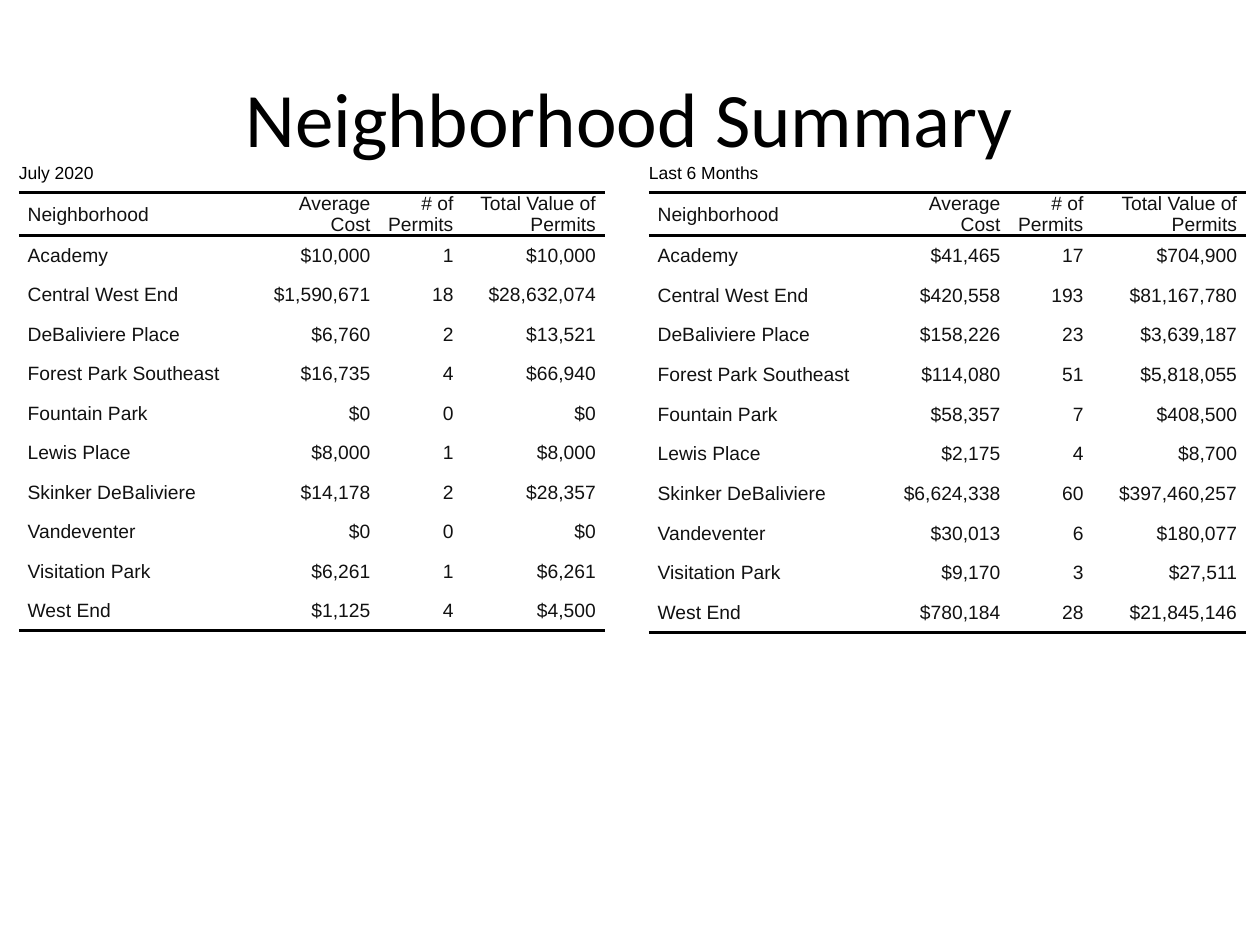
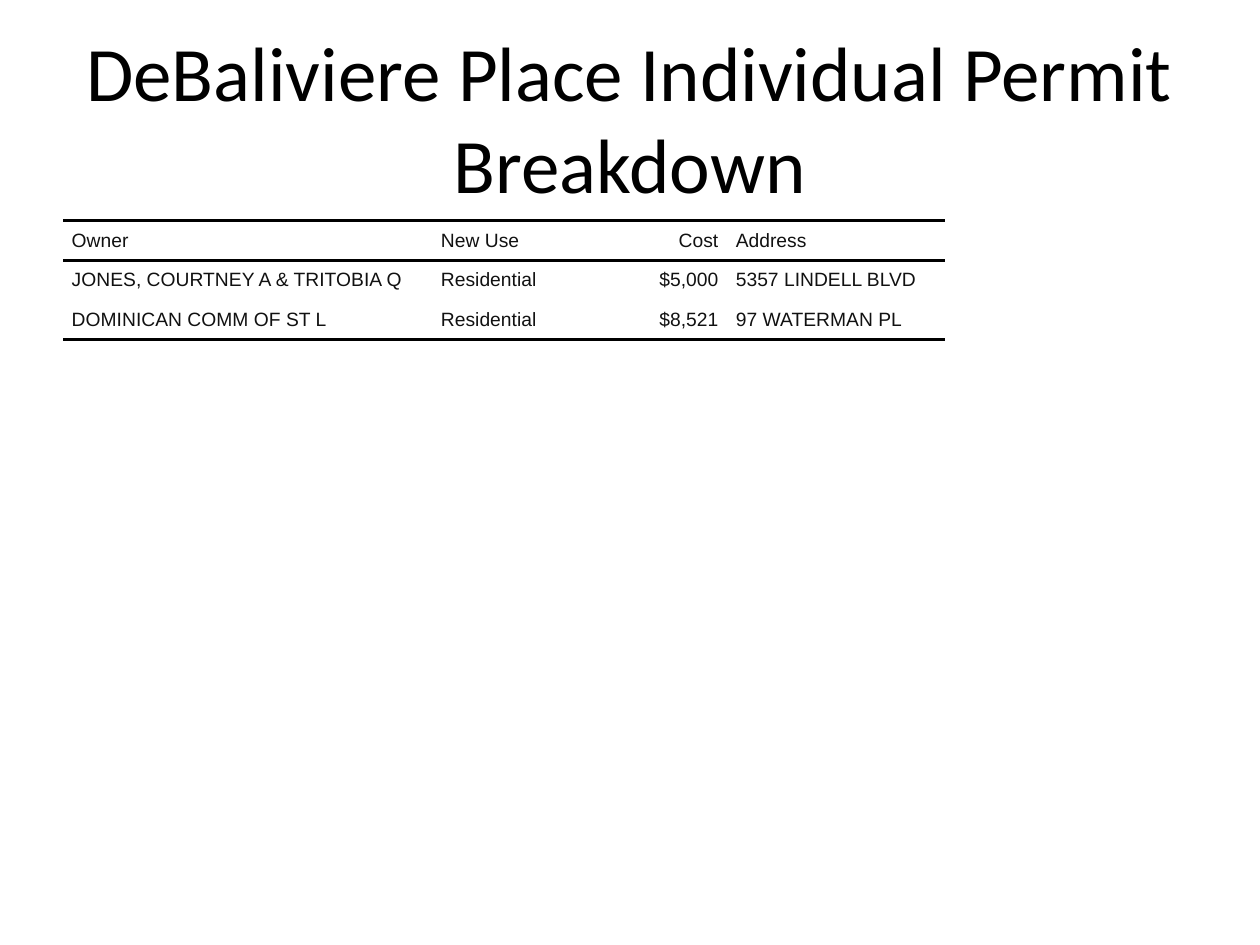
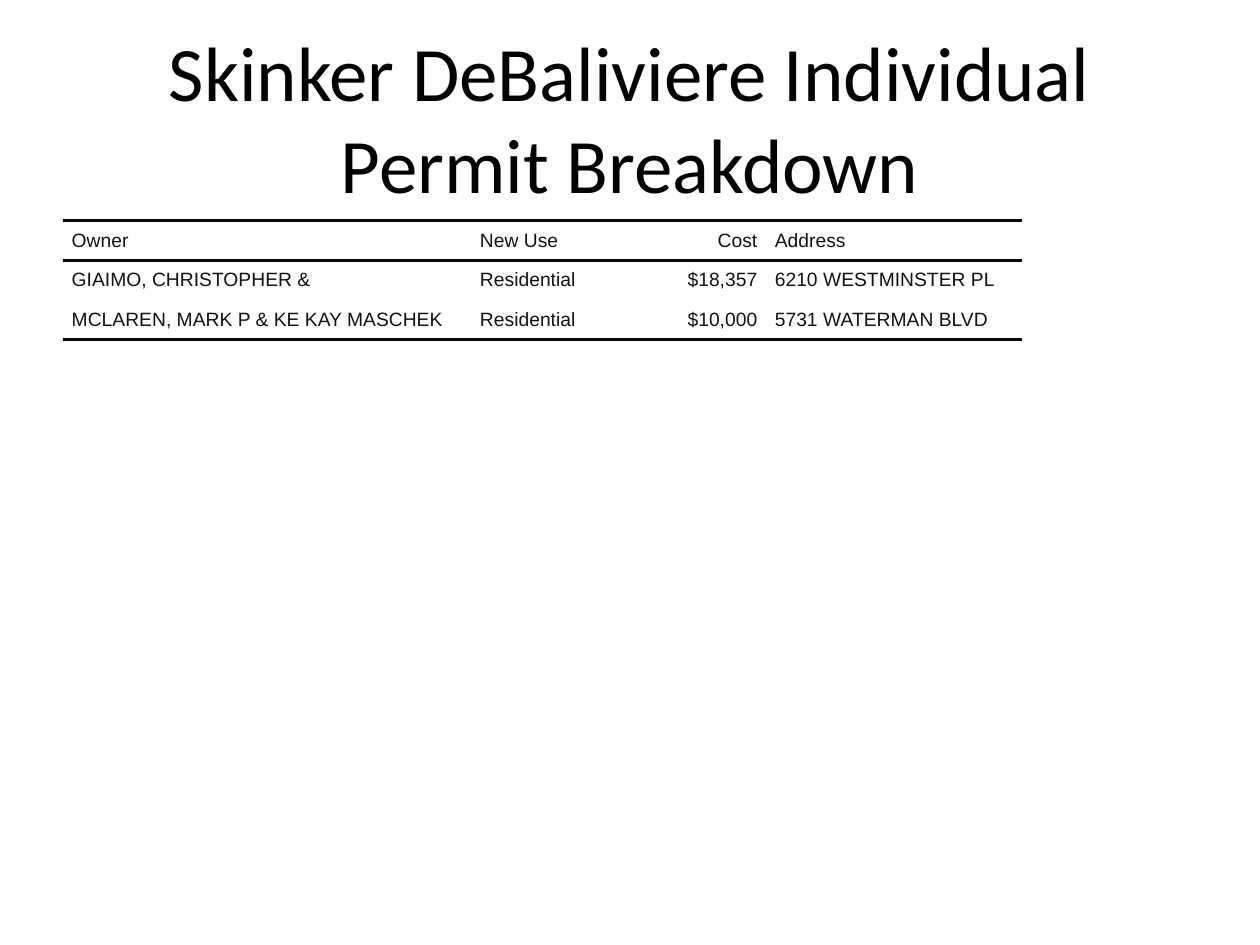
from dataclasses import dataclass

import lxml.etree
import pptx
import pptx.dml.color
import pptx.enum.text
import pptx.oxml.ns
import pptx.presentation
import pptx.slide
import pptx.table
import pptx.text.text
import pptx.util

Pt = pptx.util.Pt
ALIGN = pptx.enum.text.PP_ALIGN
MIDDLE = pptx.enum.text.MSO_ANCHOR.MIDDLE
qn = pptx.oxml.ns.qn


@dataclass(frozen=True)
class Theme:
    ink: str = "000000"
    body_ink: str = "111111"
    title_font: str = "Calibri"
    body_font: str = "Arial"
    title_size: float = 44
    body_size: float = 11
    caption_size: float = 10
    rule_width: float = 2
    cell_indent: float = 5
    cell_spacing: float = 2
    row_height: float = 22.7
    caption_height: float = 22.4
    unstyled_table: str = "{2D5ABB26-0587-4C30-8999-92F81FD0307C}"


THEME = Theme()


@dataclass(frozen=True)
class Column:
    heading: str
    width: float
    align: ALIGN = ALIGN.LEFT


@dataclass(frozen=True)
class PermitTable:
    left: float
    top: float
    columns: list[Column]
    records: list[tuple[str, ...]]
    caption: str = ""
    row_height: float = THEME.row_height


@dataclass(frozen=True)
class Page:
    title: str
    tables: list[PermitTable]


def summary_table(left: float, caption: str, value_width: float, row_height: float,
                  records: list[tuple[str, ...]]) -> PermitTable:
    columns = [
        Column("Neighborhood", 130.3),
        Column("Average Cost", 75.6, ALIGN.RIGHT),
        Column("# of Permits", 47.5, ALIGN.RIGHT),
        Column("Total Value of Permits", value_width, ALIGN.RIGHT),
    ]
    return PermitTable(left, 87.84, columns, records, caption, row_height)


def breakdown_page(neighborhood: str, owner_width: float, address_width: float,
                   records: list[tuple[str, ...]]) -> Page:
    columns = [
        Column("Owner", owner_width),
        Column("New Use", 74.9),
        Column("Cost", 93.6, ALIGN.RIGHT),
        Column("Address", address_width),
    ]
    title = f"{neighborhood} Individual Permit Breakdown"
    return Page(title, [PermitTable(36, 126, columns, records)])


JULY = [
    ("Academy", "$10,000", "1", "$10,000"),
    ("Central West End", "$1,590,671", "18", "$28,632,074"),
    ("DeBaliviere Place", "$6,760", "2", "$13,521"),
    ("Forest Park Southeast", "$16,735", "4", "$66,940"),
    ("Fountain Park", "$0", "0", "$0"),
    ("Lewis Place", "$8,000", "1", "$8,000"),
    ("Skinker DeBaliviere", "$14,178", "2", "$28,357"),
    ("Vandeventer", "$0", "0", "$0"),
    ("Visitation Park", "$6,261", "1", "$6,261"),
    ("West End", "$1,125", "4", "$4,500"),
]
HALF_YEAR = [
    ("Academy", "$41,465", "17", "$704,900"),
    ("Central West End", "$420,558", "193", "$81,167,780"),
    ("DeBaliviere Place", "$158,226", "23", "$3,639,187"),
    ("Forest Park Southeast", "$114,080", "51", "$5,818,055"),
    ("Fountain Park", "$58,357", "7", "$408,500"),
    ("Lewis Place", "$2,175", "4", "$8,700"),
    ("Skinker DeBaliviere", "$6,624,338", "60", "$397,460,257"),
    ("Vandeventer", "$30,013", "6", "$180,077"),
    ("Visitation Park", "$9,170", "3", "$27,511"),
    ("West End", "$780,184", "28", "$21,845,146"),
]
PAGES = [
    Page("Neighborhood Summary", [
        summary_table(10.8, "July 2020", 81.4, 22.57, JULY),
        summary_table(370.8, "Last 6 Months", 87.8, 22.7, HALF_YEAR),
    ]),
    breakdown_page("DeBaliviere Place", 211, 124.6, [
        ("JONES, COURTNEY A & TRITOBIA Q", "Residential", "$5,000", "5357 LINDELL BLVD"),
        ("DOMINICAN COMM OF ST L", "Residential", "$8,521", "97 WATERMAN PL"),
    ]),
    breakdown_page("Skinker DeBaliviere", 233.3, 146.2, [
        ("GIAIMO, CHRISTOPHER &", "Residential", "$18,357", "6210 WESTMINSTER PL"),
        ("MCLAREN, MARK P & KE KAY MASCHEK", "Residential", "$10,000", "5731 WATERMAN BLVD"),
    ]),
]


def write_text(frame: pptx.text.text.TextFrame, text: str, *, size: float,
               font: str = THEME.body_font, color: str = THEME.ink,
               align: ALIGN = ALIGN.LEFT, indent: float = 0, spacing: float = 0) -> None:
    paragraph = frame.paragraphs[0]
    paragraph.alignment = align
    if indent:
        properties = paragraph._p.get_or_add_pPr()
        for side in ("marL", "marR"):
            properties.set(side, str(Pt(indent)))
        properties.set("indent", "0")
    if spacing:
        paragraph.space_before = paragraph.space_after = Pt(spacing)
    run = paragraph.add_run()
    run.text = text
    run.font.size = Pt(size)
    run.font.name = font
    run.font.color.rgb = pptx.dml.color.RGBColor.from_string(color)


def format_cell(cell: pptx.table._Cell, rules: tuple[str, ...] = ()) -> None:
    cell.margin_left = cell.margin_right = cell.margin_top = cell.margin_bottom = 0
    cell.vertical_anchor = MIDDLE
    properties = cell._tc.get_or_add_tcPr()
    for edge in rules:
        line = lxml.etree.SubElement(properties, qn(f"a:{edge}"), w=str(Pt(THEME.rule_width)))
        fill = lxml.etree.SubElement(line, qn("a:solidFill"))
        lxml.etree.SubElement(fill, qn("a:srgbClr"), val=THEME.ink)
    cell.fill.background()


def draw_table(slide: pptx.slide.Slide, permits: PermitTable) -> None:
    header_row = 1 if permits.caption else 0
    lines = [tuple(column.heading for column in permits.columns), *permits.records]
    row_count = header_row + len(lines)
    width = sum(column.width for column in permits.columns)
    table = slide.shapes.add_table(
        row_count, len(permits.columns), Pt(permits.left), Pt(permits.top),
        Pt(width), Pt(row_count * permits.row_height)).table
    table.first_row = table.horz_banding = False
    next(table._tbl.iter(qn("a:tableStyleId"))).text = THEME.unstyled_table
    for table_column, column in zip(table.columns, permits.columns):
        table_column.width = Pt(column.width)
    for row in table.rows:
        row.height = Pt(permits.row_height)

    if permits.caption:
        table.rows[0].height = Pt(THEME.caption_height)
        for cell in table.rows[0].cells:
            format_cell(cell)
        caption = table.cell(0, 0)
        caption.merge(table.cell(0, len(permits.columns) - 1))
        write_text(caption.text_frame, permits.caption, size=THEME.caption_size)

    for row_index, values in enumerate(lines, start=header_row):
        if row_index == header_row:
            rules = ("lnT", "lnB")
        elif row_index == row_count - 1:
            rules = ("lnB",)
        else:
            rules = ()
        for column_index, (value, column) in enumerate(zip(values, permits.columns)):
            cell = table.cell(row_index, column_index)
            format_cell(cell, rules)
            write_text(cell.text_frame, value, size=THEME.body_size, color=THEME.body_ink,
                       align=column.align, indent=THEME.cell_indent,
                       spacing=THEME.cell_spacing)


def draw_page(deck: pptx.presentation.Presentation, page: Page) -> None:
    slide = deck.slides.add_slide(deck.slide_layouts.get_by_name("Title Only"))
    heading = slide.shapes.title
    heading.left, heading.top, heading.width, heading.height = Pt(36), Pt(21.6), Pt(648), Pt(90)
    heading.text_frame.word_wrap = True
    heading.text_frame.auto_size = pptx.enum.text.MSO_AUTO_SIZE.NONE
    heading.text_frame.vertical_anchor = MIDDLE
    write_text(heading.text_frame, page.title, size=THEME.title_size,
               font=THEME.title_font, align=ALIGN.CENTER)
    for permits in page.tables:
        draw_table(slide, permits)


def main() -> None:
    deck = pptx.Presentation()
    deck.slide_width, deck.slide_height = Pt(720), Pt(540)
    for page in PAGES:
        draw_page(deck, page)
    deck.save("out.pptx")


if __name__ == "__main__":
    main()
